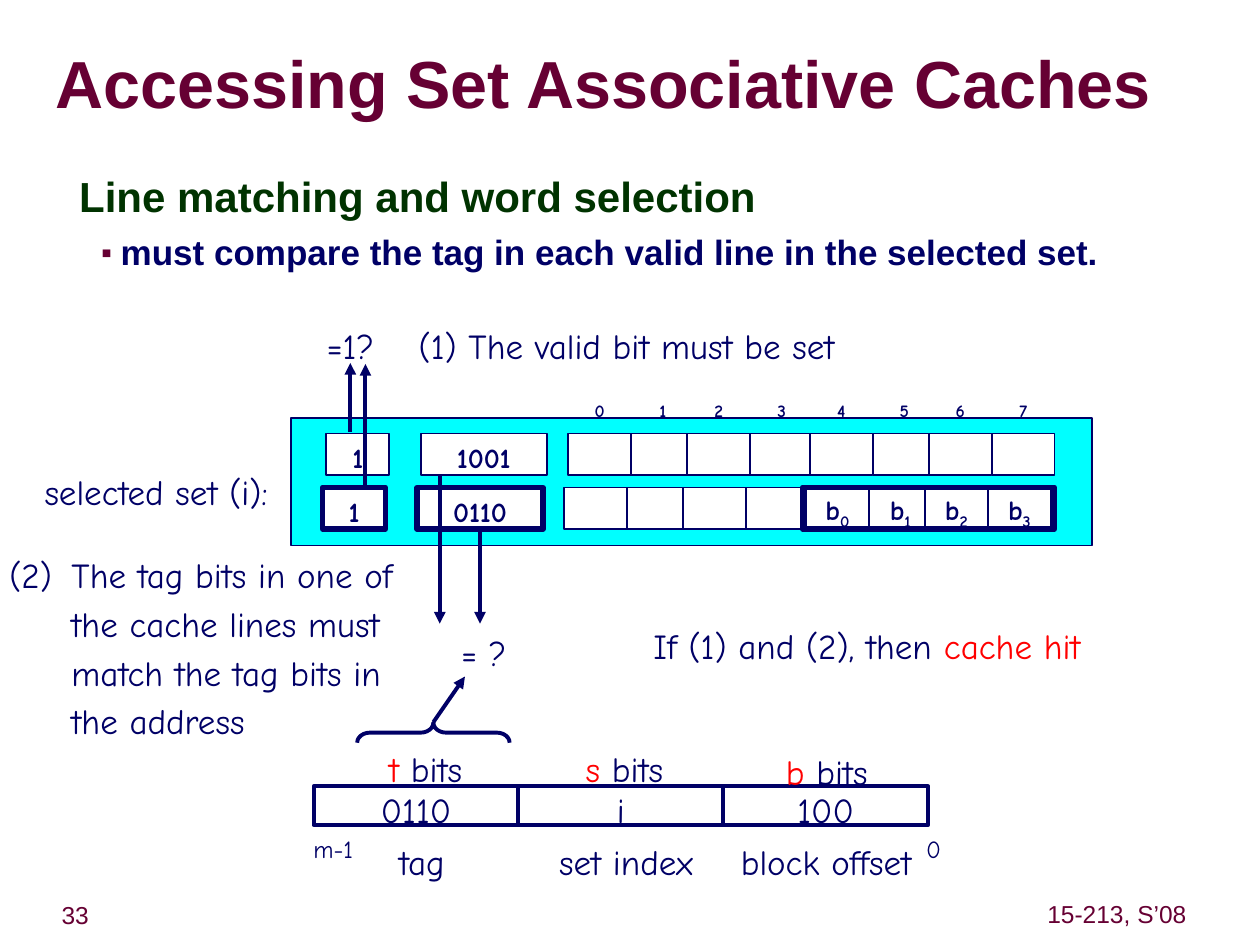
from dataclasses import dataclass
from typing import Optional

from lxml.etree import SubElement
from pptx import Presentation
from pptx.dml.color import RGBColor
from pptx.enum.shapes import MSO_CONNECTOR, MSO_SHAPE
from pptx.enum.text import MSO_ANCHOR, MSO_AUTO_SIZE, PP_ALIGN
from pptx.oxml.ns import qn
from pptx.util import Pt

NAVY, MAROON, GREEN = "000066", "660033", "003300"
RED, CYAN, WHITE = "FF0000", "00FFFF", "FFFFFF"
HAND, SANS = "Comic Neue", "Arial"
BYTE_OFFSETS = (0, 36, 68, 104, 138, 174, 206, 242)
CELL_WIDTH, CELL_HEIGHT = 36, 23.8


@dataclass
class Phrase:
    """A stretch of text in one style."""
    text: str
    color: str = NAVY
    size: float = 20
    font: str = HAND
    bold: bool = False
    subscript: bool = False


@dataclass
class Label:
    phrases: list[Phrase]
    left: float
    top: float
    width: float
    height: float
    align: Optional[PP_ALIGN] = PP_ALIGN.CENTER
    anchor: MSO_ANCHOR = MSO_ANCHOR.MIDDLE
    wrap: bool = False
    spacing: float = 1.16
    insets: tuple[float, float] = (7.2, 3.6)
    hanging: bool = False


@dataclass
class CacheLine:
    shift: float
    top: float
    valid: str
    tag: str
    data: list[str]
    border: float


def rgb(code: str) -> RGBColor:
    return RGBColor.from_string(code)


def indent(paragraph, left: float, first: float) -> None:
    properties = paragraph._p.get_or_add_pPr()
    properties.set("marL", str(Pt(left)))
    properties.set("indent", str(Pt(first)))


def write(paragraph, phrases: list[Phrase], spacing: float) -> None:
    paragraph.line_spacing = spacing
    for phrase in phrases:
        run = paragraph.add_run()
        run.text = phrase.text
        run.font.name, run.font.size, run.font.bold = phrase.font, Pt(phrase.size), phrase.bold
        run.font.color.rgb = rgb(phrase.color)
        if phrase.subscript:
            run._r.get_or_add_rPr().set("baseline", "-25000")


def set_frame(frame, wrap: bool, anchor: MSO_ANCHOR, insets: tuple[float, float]) -> None:
    frame.word_wrap, frame.vertical_anchor = wrap, anchor
    frame.margin_left = frame.margin_right = Pt(insets[0])
    frame.margin_top = frame.margin_bottom = Pt(insets[1])


def add_label(slide, label: Label) -> None:
    box = slide.shapes.add_textbox(Pt(label.left), Pt(label.top), Pt(label.width), Pt(label.height))
    frame = box.text_frame
    set_frame(frame, label.wrap, label.anchor, label.insets)
    frame.auto_size = MSO_AUTO_SIZE.NONE
    paragraph = frame.paragraphs[0]
    paragraph.alignment = label.align
    if label.hanging:
        indent(paragraph, 36, -35.5)
    write(paragraph, label.phrases, label.spacing)


def add_box(slide, left: float, top: float, width: float, height: float, border: float,
            fill: Optional[str] = None, phrases: Optional[list[Phrase]] = None,
            kind: MSO_SHAPE = MSO_SHAPE.RECTANGLE):
    box = slide.shapes.add_shape(kind, Pt(left), Pt(top), Pt(width), Pt(height))
    box.shadow.inherit = False
    box.line.color.rgb, box.line.width = rgb(NAVY), Pt(border)
    if fill:
        box.fill.solid()
        box.fill.fore_color.rgb = rgb(fill)
    else:
        box.fill.background()
    if phrases:
        set_frame(box.text_frame, False, MSO_ANCHOR.MIDDLE, (7.2, 3.6))
        box.text_frame.paragraphs[0].alignment = PP_ALIGN.CENTER
        write(box.text_frame.paragraphs[0], phrases, 1.16)
    return box


def add_arrow(slide, x1: float, y1: float, x2: float, y2: float):
    arrow = slide.shapes.add_connector(MSO_CONNECTOR.STRAIGHT, Pt(x1), Pt(y1), Pt(x2), Pt(y2))
    arrow.line.color.rgb, arrow.line.width = rgb(NAVY), Pt(2.25)
    SubElement(arrow.line._get_or_add_ln(), qn("a:tailEnd"), type="triangle")
    SubElement(arrow._element.spPr, qn("a:effectLst"))
    return arrow


def add_cache_line(slide, line: CacheLine):
    """Draw valid bit, tag and data bytes; return the tag cell."""
    def cell(left: float, width: float, border: float, phrases: list[Phrase]):
        return add_box(slide, left + line.shift, line.top, width, CELL_HEIGHT, border, WHITE, phrases)

    cell(186.5, CELL_WIDTH, line.border, [Phrase(line.valid, size=16, bold=True)])
    tag = cell(240.5, 72, line.border, [Phrase(line.tag, size=16, bold=True)])
    for offset, index in zip(BYTE_OFFSETS, line.data):
        phrases = [Phrase("b", size=16, bold=True),
                   Phrase(index, size=16, bold=True, subscript=True)] if index else []
        cell(324.7 + offset, CELL_WIDTH, 1, phrases)
    return tag


def add_body(slide) -> None:
    frame = slide.shapes.add_textbox(Pt(23), Pt(96.5), Pt(654.5), Pt(411)).text_frame
    set_frame(frame, True, MSO_ANCHOR.TOP, (7.2, 3.6))
    heading, point = frame.paragraphs[0], frame.add_paragraph()
    indent(heading, 25.2, -10)
    heading.space_before = Pt(15)
    write(heading, [Phrase("Line matching and word selection", GREEN, 24, SANS, True)], 0.93)
    indent(point, 38.9, -10.8)
    point.space_before = Pt(6.2)
    write(point, [Phrase("must compare the tag in each valid line in the selected set.",
                         NAVY, 20, SANS, True)], 0.98)
    properties = point._p.get_or_add_pPr()
    SubElement(SubElement(properties, qn("a:buClr")), qn("a:srgbClr"), val=MAROON)
    SubElement(properties, qn("a:buSzPct"), val="45000")
    SubElement(properties, qn("a:buFont"), typeface=SANS)
    SubElement(properties, qn("a:buChar"), char="■")


def add_address(slide) -> None:
    for column, value in enumerate(("0110", "i", "100")):
        add_box(slide, 179.3 + 117 * column, 449.3, 117, 22.3, 2.25, phrases=[Phrase(value)])
    for letter, left, top in (("t", 215.3, 419.8), ("s", 327.6, 419.8), ("b", 442, 421.2)):
        add_label(slide, Label([Phrase(letter, RED), Phrase(" bits")], left, top, 58, 34.6,
                               PP_ALIGN.LEFT, MSO_ANCHOR.TOP))
    for name, left, width in (("tag", 221, 41), ("set index", 312.5, 90.7), ("block offset", 416.2, 111.6)):
        add_label(slide, Label([Phrase(name)], left, 473, width, 34.6, PP_ALIGN.LEFT, MSO_ANCHOR.TOP))
    for bit, left, width in (("m-1", 172.1, 36.7), ("0", 522, 23)):
        add_label(slide, Label([Phrase(bit, size=14)], left, 470.2, width, 26.6))


def main() -> None:
    deck = Presentation()
    deck.slide_width, deck.slide_height = Pt(720), Pt(540)
    slide = deck.slides.add_slide(deck.slide_layouts[6])

    for text, left, top, width in ((" 33", 3.6, 512.6, 74.9), ("15-213, S’08", 594.7, 511.9, 87.1)):
        add_label(slide, Label([Phrase(text, MAROON, 14, SANS)], left, top, width, 22.3,
                               spacing=0.88, insets=(3.6, 3.6)))
    add_label(slide, Label([Phrase("Accessing Set Associative Caches", MAROON, 38, SANS, True)],
                           31.7, 19.4, 686.2, 61.9, PP_ALIGN.LEFT, wrap=True, spacing=0.85, insets=(0, 0)))
    add_body(slide)

    add_box(slide, 166.3, 239, 457.9, 72.7, 1, CYAN)
    matching_tag = add_cache_line(
        slide, CacheLine(-2.2, 278.6, "1", "0110", [""] * 4 + ["0", "1", "2", "3"], 3))
    add_box(slide, 458.6, 278.6, 144, CELL_HEIGHT, 3)
    add_cache_line(slide, CacheLine(0, 247.7, "1", "1001", [""] * 8, 1))
    for number, offset in enumerate(BYTE_OFFSETS):
        add_label(slide, Label([Phrase(str(number), size=10, bold=True)],
                               324.7 + offset, 221.8, CELL_WIDTH, CELL_HEIGHT))
    add_address(slide)

    for text, left, top, width in (("selected set (i):", 18, 261.4, 142.6),
                                   ("=1?", 179.3, 177.8, 41.8),
                                   ("(1) The valid bit must be set", 231.8, 177.8, 252.7),
                                   ("= ?", 256.3, 353.5, 40.3)):
        add_label(slide, Label([Phrase(text)], left, top, width, 35.3))
    add_label(slide, Label([Phrase("(2)\tThe tag bits in one of the cache lines must "
                                   "match the tag bits in the address")],
                           -2.2, 308.9, 244.8, 118.8, PP_ALIGN.LEFT, wrap=True, hanging=True))
    add_label(slide, Label([Phrase("If (1) and (2), then "), Phrase("cache hit", RED)],
                           365.8, 349.2, 312.5, 35.3, PP_ALIGN.LEFT, wrap=True, hanging=True))

    brace = add_box(slide, 241.9, 375.1, 11.5, 87.1, 2.25, kind=MSO_SHAPE.RIGHT_BRACE)
    brace.rotation = 270
    brace.adjustments[0] = 0.63

    for x1, y1, x2, y2 in ((200.2, 247, 200.2, 207.4), (208.8, 278.6, 208.8, 208),
                           (251.3, 272.2, 251.3, 356.4), (247.7, 412.6, 265.7, 386.6)):
        add_arrow(slide, x1, y1, x2, y2)
    add_arrow(slide, 274.3, 302.4, 274.3, 356.4).begin_connect(matching_tag, 2)

    deck.save("out.pptx")


if __name__ == "__main__":
    main()
